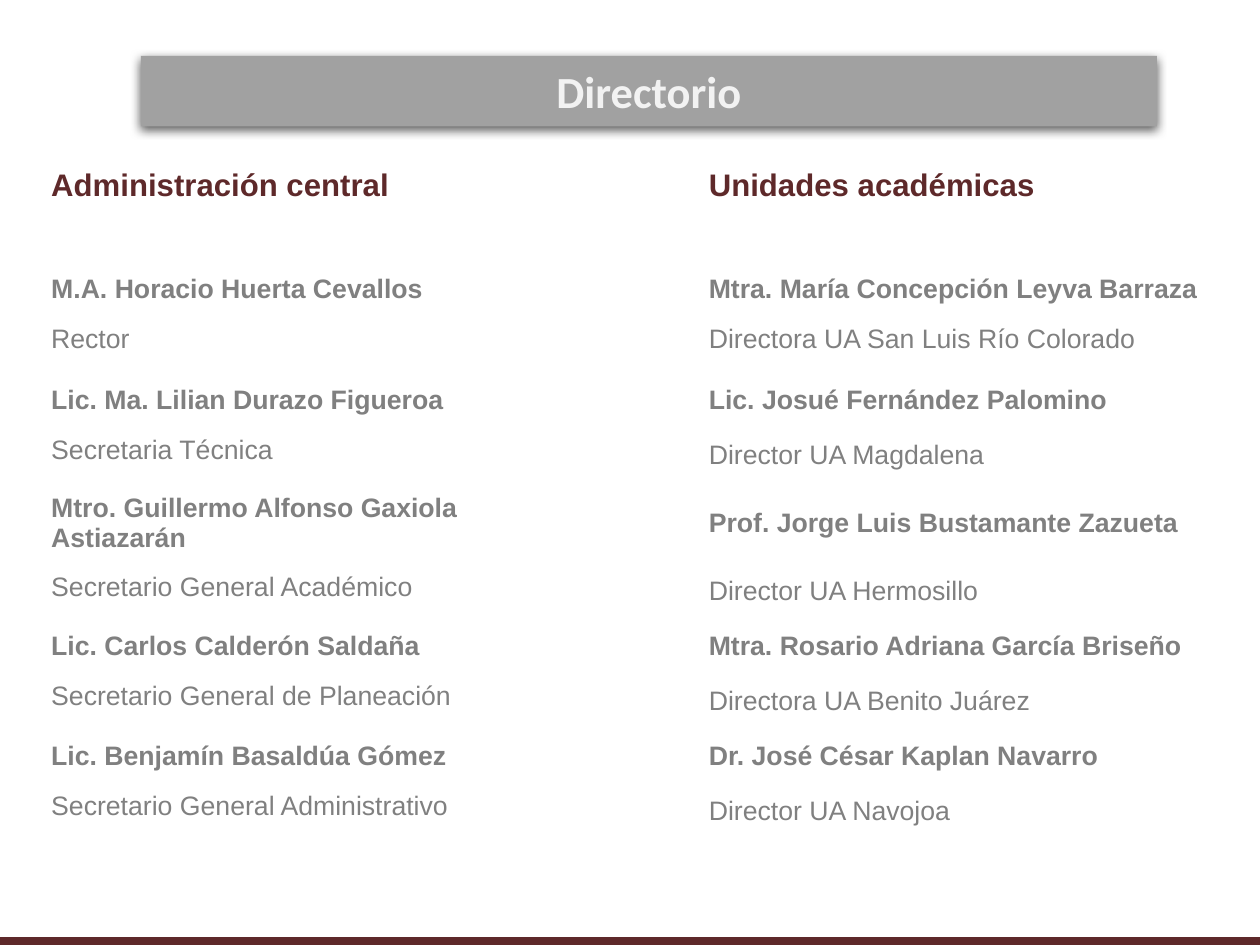
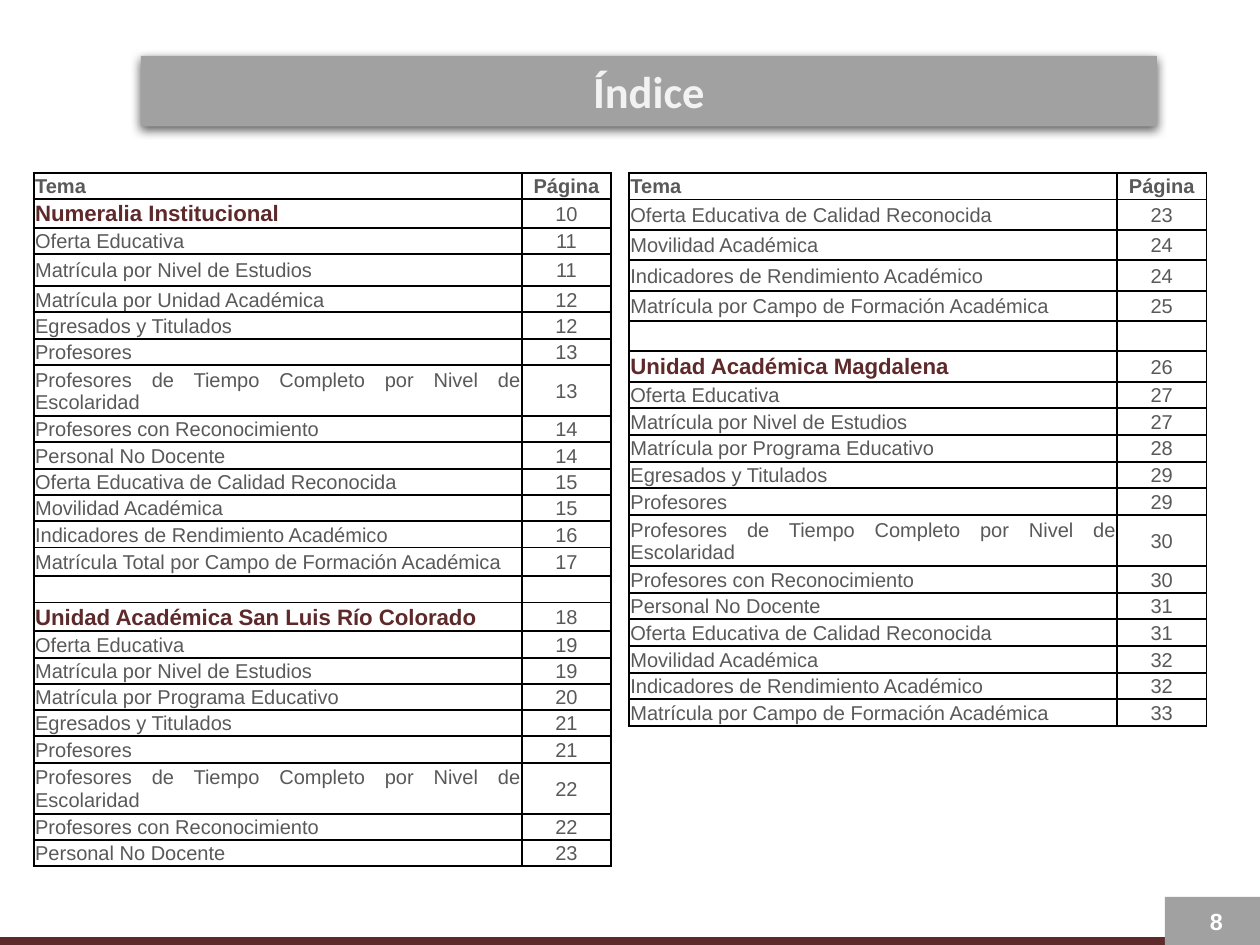
"""Build the directory and index slides of a university statistics booklet."""
from lxml.etree import SubElement
from pptx import Presentation
from pptx.dml.color import RGBColor
from pptx.enum.shapes import MSO_SHAPE
from pptx.enum.text import MSO_ANCHOR, MSO_AUTO_SIZE, PP_ALIGN
from pptx.oxml.ns import qn
from pptx.util import Inches, Pt

MAROON, GREY, WHITE = "5E292A", "A1A1A1", "FFFFFF"
TITLE_COLOR, DIRECTORY_COLOR, INDEX_COLOR = "F2F2F2", "808080", "595959"
CENTIMETRES_PER_INCH = 2.54
SLIDE_WIDTH, SLIDE_HEIGHT = 20 / CENTIMETRES_PER_INCH, 15 / CENTIMETRES_PER_INCH
BAND_HEIGHT = 0.05
PAGE_BOX_LEFT, PAGE_BOX_HEIGHT = 7.28, 0.3


def write_text(frame, text, size=9, color=INDEX_COLOR, font="Arial", bold=False, align=PP_ALIGN.LEFT):
    """Write one formatted paragraph; an empty one keeps only its text size."""
    paragraph = frame.paragraphs[0]
    paragraph.alignment = align
    if not text:
        SubElement(paragraph._p, qn("a:endParaRPr"), sz=str(size * 100))
        return
    run = paragraph.add_run()
    run.text = text
    run.font.size = Pt(size)
    run.font.name = font
    run.font.bold = bold
    run.font.color.rgb = RGBColor.from_string(color)


def add_block(slide, left, top, width, height, color):
    """Add a plain filled rectangle without outline or shadow."""
    shape = slide.shapes.add_shape(
        MSO_SHAPE.RECTANGLE, Inches(left), Inches(top), Inches(width), Inches(height))
    shape.shadow.inherit = False
    shape.fill.solid()
    shape.fill.fore_color.rgb = RGBColor.from_string(color)
    shape.line.fill.background()
    return shape


presentation = Presentation()
presentation.slide_width = Inches(SLIDE_WIDTH)
presentation.slide_height = Inches(SLIDE_HEIGHT)

slides = []
for title, band_width in (("Directorio", SLIDE_WIDTH), ("Índice", PAGE_BOX_LEFT)):
    slide = presentation.slides.add_slide(presentation.slide_layouts[6])
    add_block(slide, 0, SLIDE_HEIGHT - BAND_HEIGHT, band_width, BAND_HEIGHT, MAROON)
    banner = add_block(slide, 0.88, 0.35, 6.35, 0.44, GREY)
    effects = banner._element.spPr.find(qn("a:effectLst"))
    shadow = SubElement(effects, qn("a:outerShdw"), blurRad=str(Pt(4.5)), dist=str(Pt(1.5)),
                        dir="5400000", algn="ctr", rotWithShape="0")
    shadow_color = SubElement(shadow, qn("a:srgbClr"), val="000000")
    SubElement(shadow_color, qn("a:alpha"), val="63000")
    banner.text_frame.auto_size = MSO_AUTO_SIZE.SHAPE_TO_FIT_TEXT
    banner.text_frame.vertical_anchor = MSO_ANCHOR.TOP
    write_text(banner.text_frame, title, size=20, color=TITLE_COLOR, font="Calibri",
               bold=True, align=PP_ALIGN.CENTER)
    slides.append(slide)
directory_slide, index_slide = slides

directory = [
    ("Administración central", "", "Unidades académicas"),
    ("", "", ""),
    ("M.A. Horacio Huerta Cevallos", "", "Mtra. María Concepción Leyva Barraza"),
    ("Rector", "", "Directora UA San Luis Río Colorado"),
    ("Lic. Ma. Lilian Durazo Figueroa", "", "Lic. Josué Fernández Palomino"),
    ("Secretaria Técnica", "", "Director UA Magdalena"),
    ("Mtro. Guillermo Alfonso Gaxiola Astiazarán", "", "Prof. Jorge Luis Bustamante Zazueta"),
    ("Secretario General Académico", "", "Director UA Hermosillo"),
    ("Lic. Carlos Calderón Saldaña", "", "Mtra. Rosario Adriana García Briseño"),
    ("Secretario General de Planeación", "", "Directora UA Benito Juárez"),
    ("Lic. Benjamín Basaldúa Gómez", "", "Dr. José César Kaplan Navarro"),
    ("Secretario General Administrativo", "", "Director UA Navojoa"),
]
directory_height = 4.25
directory_rows = {1: 0.3, 3: 0.35, 6: 0.51}
plain_height = (directory_height - sum(directory_rows.values())) / (len(directory) - len(directory_rows))
table = directory_slide.shapes.add_table(
    len(directory), 3, Inches(0.22), Inches(0.99), Inches(7.48), Inches(directory_height)).table
table.first_row = table.horz_banding = False
for column, width in enumerate((3.37, 0.74, 3.37)):
    table.columns[column].width = Inches(width)
for row, entries in enumerate(directory):
    table.rows[row].height = Inches(directory_rows.get(row, plain_height))
    is_heading = row == 0
    is_post = row % 2 == 1
    for column, text in enumerate(entries):
        cell = table.cell(row, column)
        cell.fill.solid()
        cell.fill.fore_color.rgb = RGBColor.from_string(WHITE)
        at_top = is_post and (column == 0 or row == 3)
        cell.vertical_anchor = MSO_ANCHOR.TOP if at_top else MSO_ANCHOR.MIDDLE
        write_text(cell.text_frame, text, size=14 if is_heading else 12,
                   color=MAROON if is_heading else DIRECTORY_COLOR, bold=not is_post)

left_index = [
    ("Tema", "Página"), ("Numeralia Institucional", "10"), ("Oferta Educativa", "11"),
    ("Matrícula por Nivel de Estudios", "11"), ("Matrícula por Unidad Académica", "12"),
    ("Egresados y Titulados", "12"), ("Profesores", "13"),
    ("Profesores de Tiempo Completo por Nivel de Escolaridad", "13"),
    ("Profesores con Reconocimiento", "14"), ("Personal No Docente", "14"),
    ("Oferta Educativa de Calidad Reconocida", "15"), ("Movilidad Académica", "15"),
    ("Indicadores de Rendimiento Académico", "16"),
    ("Matrícula Total por Campo de Formación Académica", "17"), ("", ""),
    ("Unidad Académica San Luis Río Colorado", "18"), ("Oferta Educativa", "19"),
    ("Matrícula por Nivel de Estudios", "19"), ("Matrícula por Programa Educativo", "20"),
    ("Egresados y Titulados", "21"), ("Profesores", "21"),
    ("Profesores de Tiempo Completo por Nivel de Escolaridad", "22"),
    ("Profesores con Reconocimiento", "22"), ("Personal No Docente", "23"),
]
right_index = [
    ("Tema", "Página"), ("Oferta Educativa de Calidad Reconocida", "23"),
    ("Movilidad Académica", "24"), ("Indicadores de Rendimiento Académico", "24"),
    ("Matrícula por Campo de Formación Académica", "25"), ("", ""),
    ("Unidad Académica Magdalena", "26"), ("Oferta Educativa", "27"),
    ("Matrícula por Nivel de Estudios", "27"), ("Matrícula por Programa Educativo", "28"),
    ("Egresados y Titulados", "29"), ("Profesores", "29"),
    ("Profesores de Tiempo Completo por Nivel de Escolaridad", "30"),
    ("Profesores con Reconocimiento", "30"), ("Personal No Docente", "31"),
    ("Oferta Educativa de Calidad Reconocida", "31"), ("Movilidad Académica", "32"),
    ("Indicadores de Rendimiento Académico", "32"),
    ("Matrícula por Campo de Formación Académica", "33"),
]
left_rows = {1: 0.18, 3: 0.2, 7: 0.32, 13: 0.18, 15: 0.18, 21: 0.32}
right_rows = {**{row: 0.19 for row in range(1, 7)}, 12: 0.32}
index_tables = (
    (0.21, 4.34, left_index, left_rows),
    (3.93, 3.46, right_index, right_rows),
)
for left, total_height, entries, tall_rows in index_tables:
    table = index_slide.shapes.add_table(
        len(entries), 2, Inches(left), Inches(1.08), Inches(3.61), Inches(total_height)).table
    table.first_row = table.horz_banding = False
    table.columns[0].width = Inches(3.05)
    table.columns[1].width = Inches(0.56)
    plain_height = (total_height - sum(tall_rows.values())) / (len(entries) - len(tall_rows))
    for row, (topic, page) in enumerate(entries):
        table.rows[row].height = Inches(tall_rows.get(row, plain_height))
        is_section = topic.startswith(("Numeralia", "Unidad"))
        for column, text in enumerate((topic, page)):
            cell = table.cell(row, column)
            cell.margin_left = cell.margin_right = cell.margin_top = Inches(0.01)
            cell.margin_bottom = 0
            cell.vertical_anchor = MSO_ANCHOR.MIDDLE
            properties = cell._tc.get_or_add_tcPr()
            for side in ("a:lnL", "a:lnR", "a:lnT", "a:lnB"):
                border = SubElement(properties, qn(side), w=str(Pt(1)))
                border_fill = SubElement(border, qn("a:solidFill"))
                SubElement(border_fill, qn("a:srgbClr"), val="000000")
            cell.fill.background()
            marked = is_section and column == 0
            write_text(cell.text_frame, text, size=10 if marked else 9,
                       color=MAROON if marked else INDEX_COLOR, bold=marked or row == 0,
                       align=PP_ALIGN.CENTER if column else PP_ALIGN.JUSTIFY)

add_block(index_slide, PAGE_BOX_LEFT, SLIDE_HEIGHT - PAGE_BOX_HEIGHT,
          SLIDE_WIDTH - PAGE_BOX_LEFT, PAGE_BOX_HEIGHT, GREY)
page_number = index_slide.shapes.add_textbox(Inches(5.97), Inches(5.6), Inches(1.77), Inches(0.31))
page_number.text_frame.word_wrap = True
page_number.text_frame.vertical_anchor = MSO_ANCHOR.MIDDLE
write_text(page_number.text_frame, "8", size=10.5, color=WHITE, bold=True, align=PP_ALIGN.RIGHT)

presentation.save("out.pptx")
